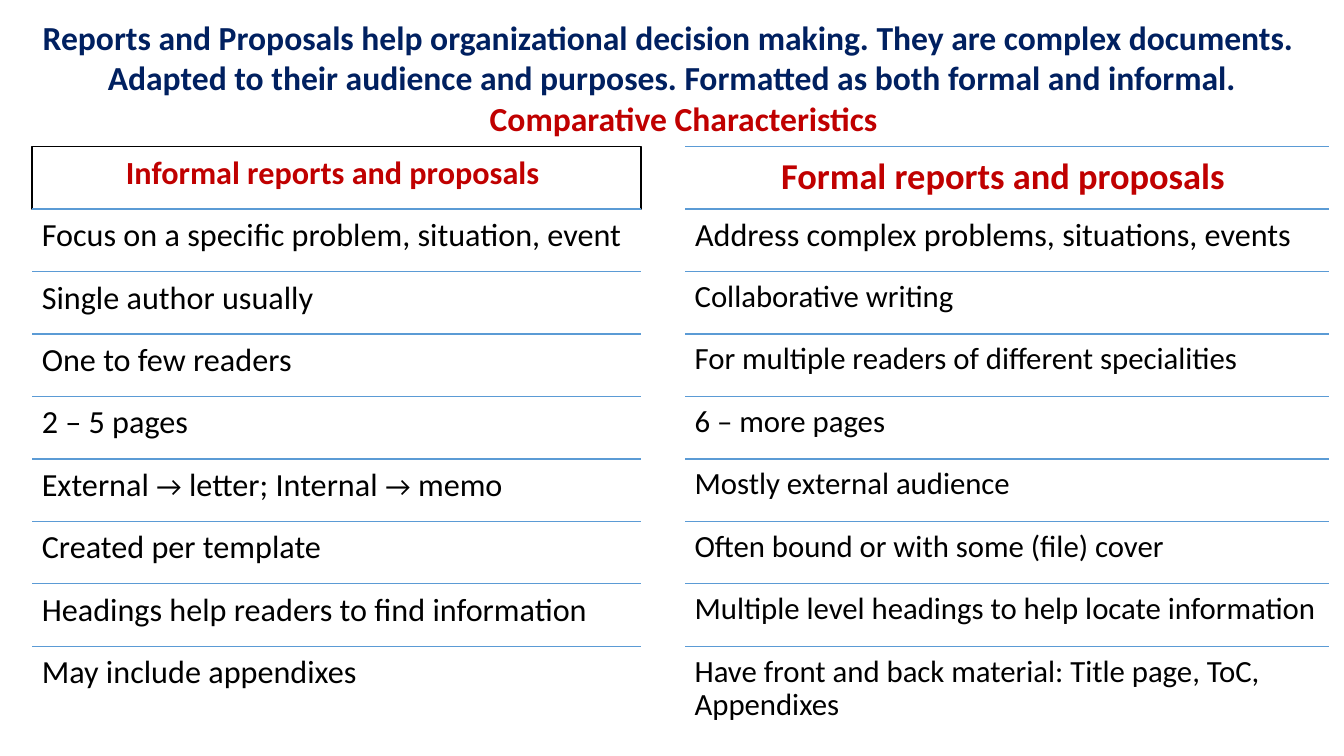
from lxml import etree
from pptx import Presentation
from pptx.dml.color import RGBColor
from pptx.enum.shapes import MSO_CONNECTOR as Connector, MSO_SHAPE as Shape
from pptx.enum.text import MSO_ANCHOR as Anchor, PP_ALIGN as Align
from pptx.oxml.ns import qn
from pptx.util import Pt

# Content
INTRO = [
    "Reports and Proposals help organizational decision making. They are complex documents. ",
    "Adapted to their audience and purposes. Formatted as both formal and informal.",
]
SUBTITLE = "Comparative Characteristics"
COLUMNS = [
    {"left": 23, "width": 435, "boxed": True, "rows": [
        ("Informal reports and proposals ", 23),
        ("Focus on a specific problem, situation, event", 23),
        ("Single author usually", 23),
        ("One to few readers", 23),
        ("2 – 5 pages", 23),
        ("External → letter; Internal → memo", 23),
        ("Created per template", 23),
        ("Headings help readers to find information", 23),
        ("May include appendixes", 23),
    ]},
    {"left": 489.6, "width": 460, "boxed": False, "rows": [
        ("Formal reports and proposals ", 26),
        ("Address complex problems, situations, events", 23),
        ("Collaborative writing", 22),
        ("For multiple readers of different specialities", 22),
        ("6 – more pages", 22),
        ("Mostly external audience", 22),
        ("Often bound or with some (file) cover", 22),
        ("Multiple level headings to help locate information", 22),
        ("Have front and back material: Title page, ToC, Appendixes", 22),
    ]},
]

# Look and layout, in points
COLORS = {"navy": "002060", "red": "C00000", "text": "000000",
          "rule": "5B9BD5", "white": "FFFFFF"}
FONT = "Calibri"
SLIDE_WIDTH, SLIDE_HEIGHT = 960, 540
TABLE_TOP, ROW_HEIGHT = 104.8, 44.6
INSET_RATIO = 0.3  # cell inset as a share of the font size
ARROW, ARROW_SIZE = "→", 20


def color(name):
    return RGBColor.from_string(COLORS[name])


def style(paragraph, size, color_name, bold=False, align=Align.LEFT):
    paragraph.alignment = align
    font = paragraph.font
    font.name, font.size, font.bold = FONT, Pt(size), bold
    font.color.rgb = color(color_name)


def add_heading(slide, box, lines, color_name, align):
    shape = slide.shapes.add_textbox(*map(Pt, box))
    frame = shape.text_frame
    frame.word_wrap = True
    frame.text = "\n".join(lines)
    for paragraph in frame.paragraphs:
        style(paragraph, 24, color_name, True, align)


def add_rule(group, left, top, width):
    line = group.shapes.add_connector(
        Connector.STRAIGHT, Pt(left), Pt(top), Pt(left + width), Pt(top))
    line.line.color.rgb = color("rule")
    line.line.width = Pt(1)
    properties = line.element.find(qn("p:spPr"))
    etree.SubElement(properties, qn("a:effectLst"))


def add_cell(group, box, text, size, header, boxed):
    if boxed:
        shape = group.shapes.add_shape(Shape.RECTANGLE, *map(Pt, box))
        shape.shadow.inherit = False
        shape.fill.solid()
        shape.fill.fore_color.rgb = color("white")
        shape.line.color.rgb = color("text")
        shape.line.width = Pt(1)
    else:
        shape = group.shapes.add_textbox(*map(Pt, box))
    frame = shape.text_frame
    frame.word_wrap = True
    frame.vertical_anchor = Anchor.TOP
    inset = Pt(size * INSET_RATIO)
    frame.margin_left = frame.margin_right = inset
    frame.margin_top = frame.margin_bottom = inset

    paragraph = frame.paragraphs[0]
    paragraph.line_spacing = 0.9
    if header:
        style(paragraph, size, "red", True, Align.CENTER)
    else:
        style(paragraph, size, "text")
    # Arrows are set smaller than the words around them
    for index, words in enumerate(text.split(ARROW)):
        if index:
            arrow = paragraph.add_run()
            arrow.text = ARROW
            arrow.font.size = Pt(ARROW_SIZE)
        paragraph.add_run().text = words


def main():
    presentation = Presentation()
    presentation.slide_width = Pt(SLIDE_WIDTH)
    presentation.slide_height = Pt(SLIDE_HEIGHT)
    slide = presentation.slides.add_slide(presentation.slide_layouts[6])

    # Introduction
    add_heading(slide, (0, 8.6, SLIDE_WIDTH, 65.5), INTRO, "navy", Align.CENTER)

    # Two ruled columns
    for column in COLUMNS:
        group = slide.shapes.add_group_shape()
        left, width = column["left"], column["width"]
        for index, (text, size) in enumerate(column["rows"]):
            top = TABLE_TOP + index * ROW_HEIGHT
            header = index == 0
            add_rule(group, left, top, width)
            add_cell(group, (left, top, width, ROW_HEIGHT), text, size,
                     header, header and column["boxed"])

    # Subtitle above the columns
    add_heading(slide, (342.7, 66.2, 313.2, 36), [SUBTITLE], "red", Align.LEFT)

    presentation.save("out.pptx")


if __name__ == "__main__":
    main()
